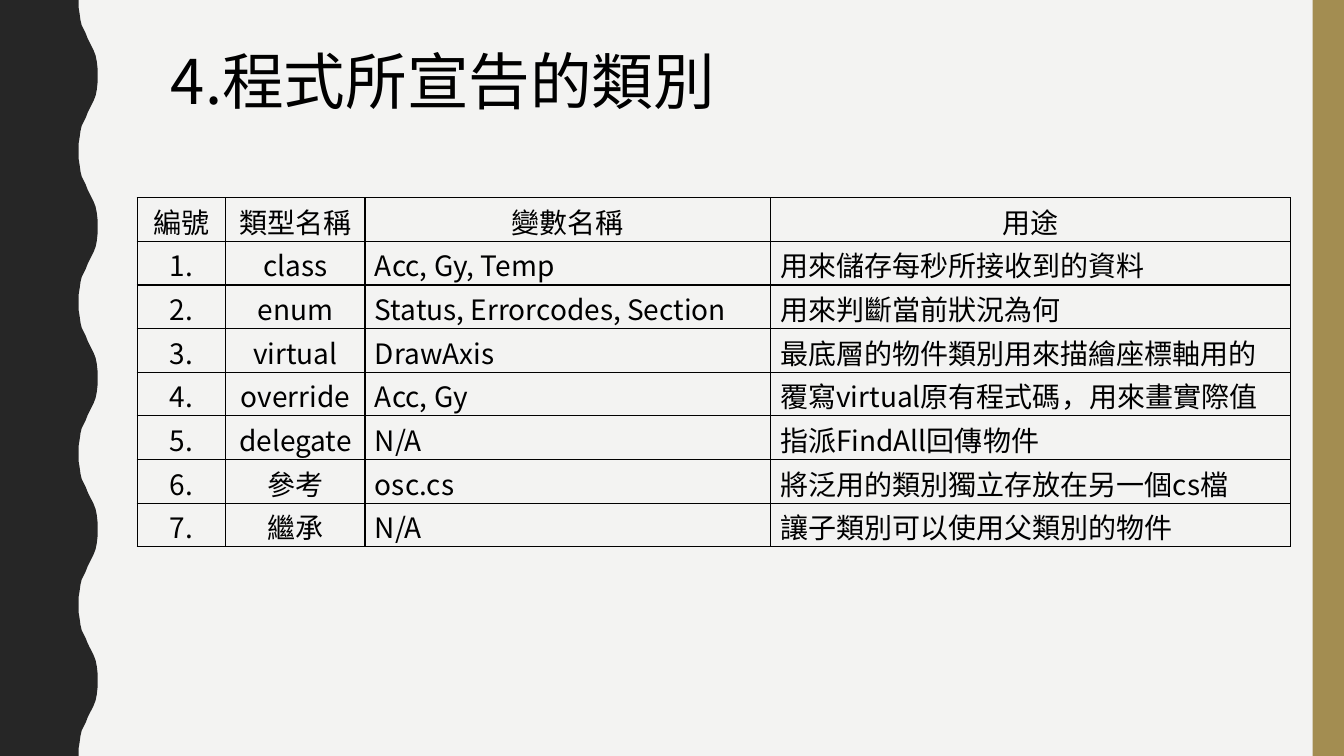
import lxml.etree
import pptx
import pptx.dml.color
import pptx.enum.shapes
import pptx.enum.text
import pptx.oxml.ns
import pptx.util
from pptx.util import Cm

FONT = "Noto Sans CJK SC"
INK = "000000"
BACKGROUND = "F3F3F2"
SLIDE_WIDTH, SLIDE_HEIGHT = 33.87, 19.05
WAVE_COUNT = 5
WAVE_LENGTH = SLIDE_HEIGHT / WAVE_COUNT
HALF_WAVE = [
    (1.98, 0), (1.98, 0.18), (2.01, 0.36), (2.03, 0.51), (2.06, 0.64),
    (2.11, 0.74), (2.16, 0.84), (2.21, 0.97), (2.26, 1.07), (2.31, 1.17),
    (2.36, 1.27), (2.41, 1.4), (2.44, 1.55), (2.46, 1.73), (2.46, 1.9),
]
COLUMN_WIDTHS = [2.23, 3.51, 10.21, 13.11]
ROW_HEIGHT = 1.1
ROWS = [
    ("編號", "類型名稱", "變數名稱", "用途"),
    ("1.", "class", "Acc, Gy, Temp", "用來儲存每秒所接收到的資料"),
    ("2.", "enum", "Status, Errorcodes, Section", "用來判斷當前狀況為何"),
    ("3.", "virtual", "DrawAxis", "最底層的物件類別用來描繪座標軸用的"),
    ("4.", "override", "Acc, Gy", "覆寫virtual原有程式碼，用來畫實際值"),
    ("5.", "delegate", "N/A", "指派FindAll回傳物件"),
    ("6.", "參考", "osc.cs", "將泛用的類別獨立存放在另一個cs檔"),
    ("7.", "繼承", "N/A", "讓子類別可以使用父類別的物件"),
]


def color(value):
    """Return a colour from a hex string."""
    return pptx.dml.color.RGBColor.from_string(value)


def paint(shape, value):
    """Give a shape a plain fill without line or shadow."""
    shape.shadow.inherit = False
    shape.fill.solid()
    shape.fill.fore_color.rgb = color(value)
    shape.line.fill.background()


def add_run(paragraph, text, size):
    """Add a run in the slide's font for Latin and East Asian text."""
    run = paragraph.add_run()
    run.text = text
    run.font.size = pptx.util.Pt(size)
    run.font.color.rgb = color(INK)
    run.font.name = FONT
    east_asian = lxml.etree.SubElement(run.font._element, pptx.oxml.ns.qn("a:ea"))
    east_asian.set("typeface", FONT)


def add_wave_band(slide):
    """Draw the dark band with its wavy right edge."""
    mirrored = [(x, WAVE_LENGTH - y) for x, y in HALF_WAVE[-2::-1]]
    edge = [(x, y + wave * WAVE_LENGTH)
            for wave in range(WAVE_COUNT) for x, y in HALF_WAVE + mirrored]
    builder = slide.shapes.build_freeform(0, 0, scale=1)
    points = [(Cm(x), Cm(y)) for x, y in edge + [(0, SLIDE_HEIGHT)]]
    builder.add_line_segments(points, close=True)
    paint(builder.convert_to_shape(), "262626")


def add_side_bar(slide):
    """Draw the gold bar at the right edge."""
    width = 0.79
    bar = slide.shapes.add_shape(
        pptx.enum.shapes.MSO_SHAPE.RECTANGLE,
        Cm(SLIDE_WIDTH - width), 0, Cm(width), Cm(SLIDE_HEIGHT))
    paint(bar, "A38D51")


def add_title(slide, text):
    """Add the title on one line."""
    box = slide.shapes.add_textbox(Cm(4.06), Cm(1.17), Cm(14.63), Cm(2.13))
    box.text_frame.word_wrap = False
    box.text_frame.auto_size = pptx.enum.text.MSO_AUTO_SIZE.SHAPE_TO_FIT_TEXT
    paragraph = box.text_frame.paragraphs[0]
    paragraph.line_spacing = 0.9
    add_run(paragraph, text, 44)


def add_borders(cell):
    """Draw a thin line on each side of a cell."""
    properties = cell._tc.get_or_add_tcPr()
    for index, side in enumerate(("lnL", "lnR", "lnT", "lnB")):
        line = lxml.etree.Element(pptx.oxml.ns.qn(f"a:{side}"), w=str(pptx.util.Pt(1)))
        fill = lxml.etree.SubElement(line, pptx.oxml.ns.qn("a:solidFill"))
        lxml.etree.SubElement(fill, pptx.oxml.ns.qn("a:srgbClr"), val=INK)
        properties.insert(index, line)


def fill_cell(cell, text, centered):
    """Write and format one table cell."""
    cell.fill.background()
    cell.margin_top = cell.margin_bottom = 0
    cell.margin_left = cell.margin_right = Cm(0.25)
    cell.vertical_anchor = pptx.enum.text.MSO_ANCHOR.BOTTOM
    paragraph = cell.text_frame.paragraphs[0]
    if centered:
        paragraph.alignment = pptx.enum.text.PP_ALIGN.CENTER
    add_run(paragraph, text, 20)
    add_borders(cell)


def add_class_table(slide):
    """Add the table of declared classes."""
    table = slide.shapes.add_table(
        len(ROWS), len(COLUMN_WIDTHS), Cm(3.46), Cm(4.98),
        Cm(sum(COLUMN_WIDTHS)), Cm(ROW_HEIGHT * len(ROWS))).table
    table.horz_banding = False
    table.first_row = False
    for column, width in zip(table.columns, COLUMN_WIDTHS):
        column.width = Cm(width)
    for row_index, texts in enumerate(ROWS):
        table.rows[row_index].height = Cm(ROW_HEIGHT)
        for column_index, text in enumerate(texts):
            centered = row_index == 0 or column_index < 2
            fill_cell(table.cell(row_index, column_index), text, centered)


def main():
    """Build and save the slide."""
    presentation = pptx.Presentation()
    presentation.slide_width = Cm(SLIDE_WIDTH)
    presentation.slide_height = Cm(SLIDE_HEIGHT)
    slide = presentation.slides.add_slide(presentation.slide_layouts[6])
    slide.background.fill.solid()
    slide.background.fill.fore_color.rgb = color(BACKGROUND)
    add_wave_band(slide)
    add_side_bar(slide)
    add_title(slide, "4.程式所宣告的類別")
    add_class_table(slide)
    presentation.save("out.pptx")


if __name__ == "__main__":
    main()
